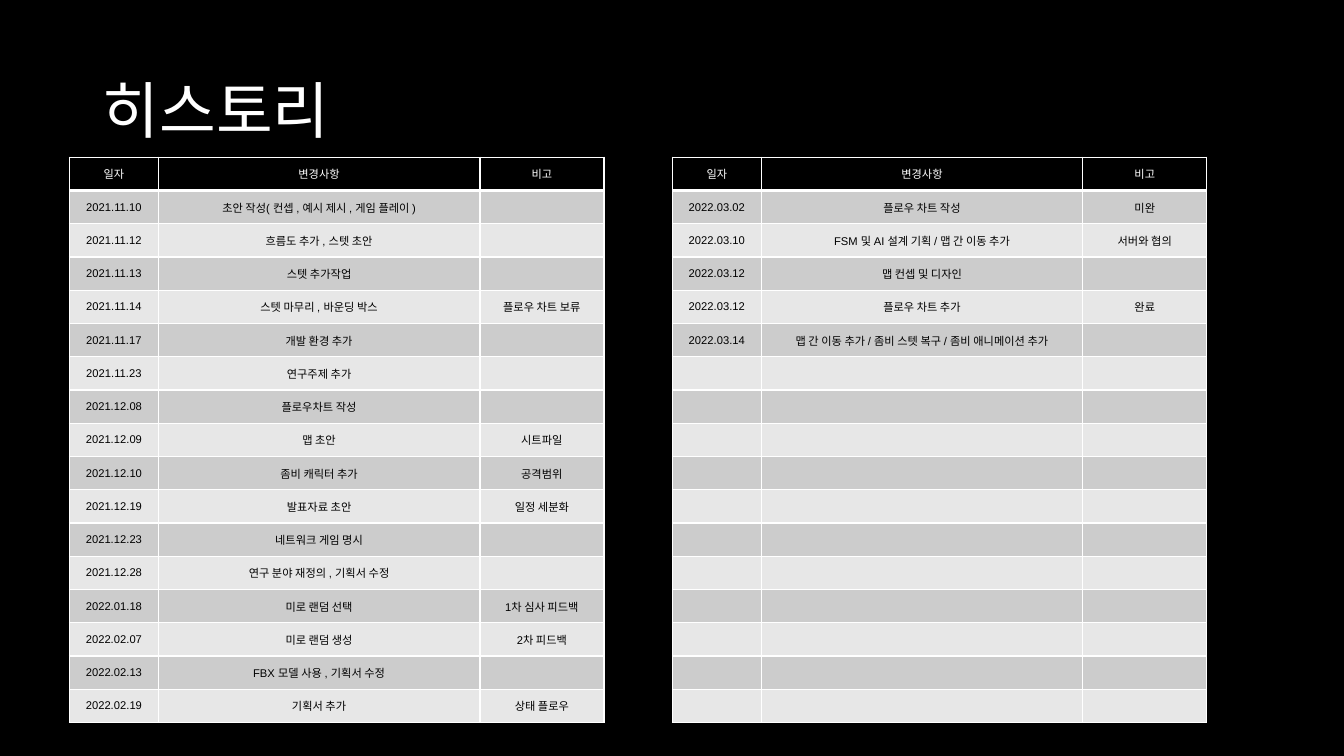
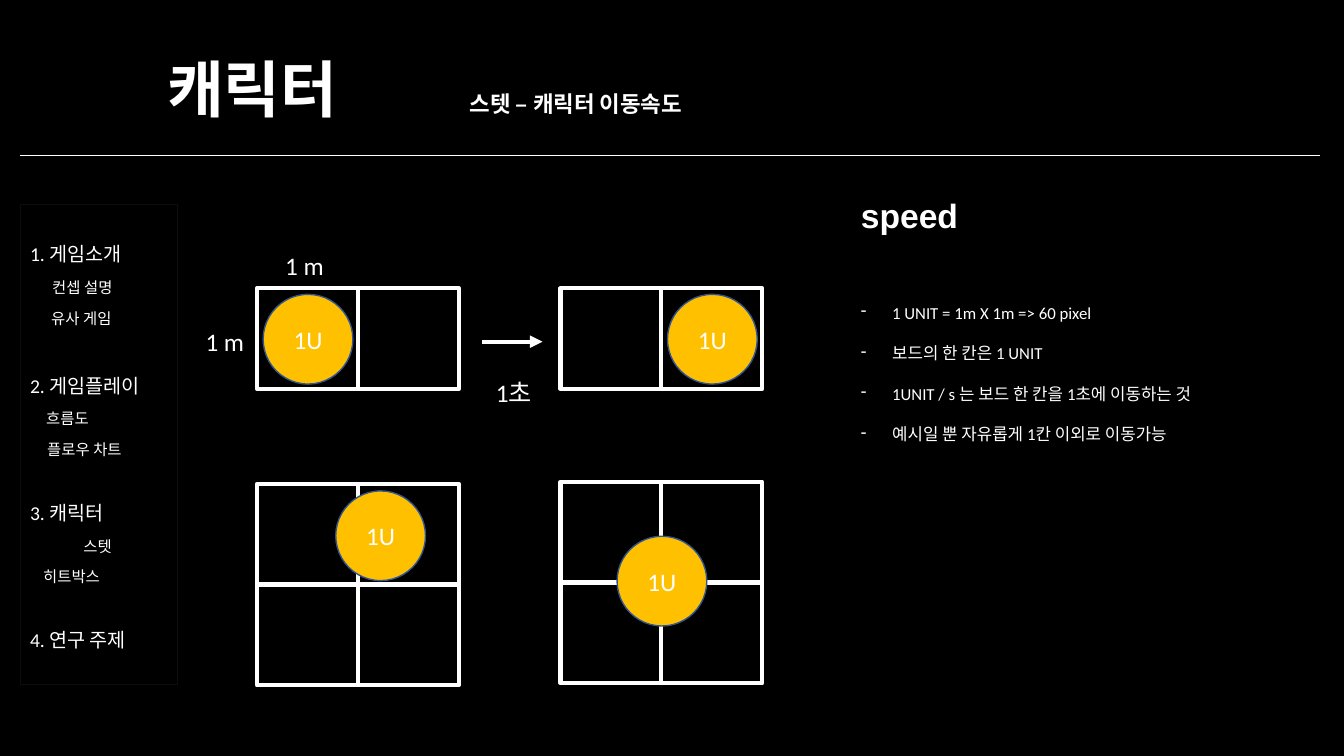
from lxml.etree import SubElement
from pptx import Presentation
from pptx.dml.color import RGBColor
from pptx.enum.shapes import MSO_CONNECTOR, MSO_SHAPE
from pptx.enum.text import MSO_ANCHOR, PP_ALIGN
from pptx.oxml.ns import qn
from pptx.util import Inches, Pt

BLACK = RGBColor(0x00, 0x00, 0x00)
WHITE = RGBColor(0xFF, 0xFF, 0xFF)
DARK = RGBColor(0xCC, 0xCC, 0xCC)
LIGHT = RGBColor(0xE7, 0xE7, 0xE7)
EDGE = RGBColor(0x0D, 0x0D, 0x0D)
GOLD = RGBColor(0xFF, 0xC0, 0x00)
NAVY = RGBColor(0x32, 0x54, 0x91)
BODY, HEAD = "Calibri", "Arial"

COLS = [0.88, 3.19, 1.23]
ROW, COUNT = 0.33, 17
CELL, BALL = 1, 0.89

LABELS = ("일자", "변경사항", "비고")
EARLY = [
    ("2021.11.10", "초안 작성( 컨셉 , 예시 제시 , 게임 플레이 )"),
    ("2021.11.12", "흐름도 추가 , 스텟 초안"),
    ("2021.11.13", "스텟 추가작업"),
    ("2021.11.14", "스텟 마무리 , 바운딩 박스", "플로우 차트 보류"),
    ("2021.11.17", "개발 환경 추가"),
    ("2021.11.23", "연구주제 추가"),
    ("2021.12.08", "플로우차트 작성"),
    ("2021.12.09", "맵 초안", "시트파일"),
    ("2021.12.10", "좀비 캐릭터 추가", "공격범위"),
    ("2021.12.19", "발표자료 초안", "일정 세분화"),
    ("2021.12.23", "네트워크 게임 명시"),
    ("2021.12.28", "연구 분야 재정의 , 기획서 수정"),
    ("2022.01.18", "미로 랜덤 선택", "1차 심사 피드백"),
    ("2022.02.07", "미로 랜덤 생성", "2차 피드백"),
    ("2022.02.13", "FBX 모델 사용 , 기획서 수정"),
    ("2022.02.19", "기획서 추가", "상태 플로우"),
]
LATE = [
    ("2022.03.02", "플로우 차트 작성", "미완"),
    ("2022.03.10", "FSM 및 AI 설계 기획 / 맵 간 이동 추가", "서버와 협의"),
    ("2022.03.12", "맵 컨셉 및 디자인"),
    ("2022.03.12", "플로우 차트 추가", "완료"),
    ("2022.03.14", "맵 간 이동 추가 / 좀비 스텟 복구 / 좀비 애니메이션 추가"),
]
# text, size, left indent in inches, space before in points
MENU = [
    ("1. 게임소개", 14, 0, 0),
    ("컨셉 설명", 11, 0.22, 10),
    ("유사 게임", 11, 0.21, 10),
    ("2. 게임플레이", 14, 0, 35),
    ("흐름도", 11, 0.16, 10),
    ("플로우 차트", 11, 0.17, 10),
    ("3. 캐릭터", 14, 0, 32),
    ("스텟", 11, 0.53, 10),
    ("히트박스", 11, 0.13, 10),
    ("4. 연구 주제", 14, 0, 32),
]
RULES = [
    "1 UNIT = 1m X 1m => 60 pixel",
    "보드의 한 칸은 1 UNIT",
    "1UNIT / s 는 보드 한 칸을 1초에 이동하는 것",
    "예시일 뿐 자유롭게 1칸 이외로 이동가능",
]
# left, top, rows, ball offset from the board's corner
BOARDS = [
    (2.55, 2.86, 1, 0.06, 0.06),
    (5.56, 2.86, 1, 1.06, 0.06),
    (2.55, 4.8, 2, 0.78, 0.07),
    (5.56, 4.78, 2, 0.56, 0.54),
]


def write(para, text, size, font=BODY, color=WHITE, bold=False):
    """Add one styled run to a paragraph."""
    run = para.add_run()
    run.text = text
    run.font.size, run.font.name, run.font.bold = Pt(size), font, bold
    run.font.color.rgb = color


def frame(slide, *box):
    """Add a wrapping text box and return its text frame."""
    text = slide.shapes.add_textbox(*map(Inches, box)).text_frame
    text.word_wrap = True
    return text


def shape(slide, kind, box, line, width, fill=None):
    item = slide.shapes.add_shape(kind, *map(Inches, box))
    item.shadow.inherit = False
    if fill is None:
        item.fill.background()
    else:
        item.fill.solid()
        item.fill.fore_color.rgb = fill
    item.line.color.rgb = line
    item.line.width = Pt(width)
    return item


def rule(slide, left, right, top, width, arrow=False):
    """Draw a level white line, with an arrowhead at its right end if asked."""
    line = slide.shapes.add_connector(
        MSO_CONNECTOR.STRAIGHT, *map(Inches, (left, top, right, top)))
    line.line.color.rgb = WHITE
    line.line.width = Pt(width)
    if arrow:
        SubElement(line.line._get_or_add_ln(), qn("a:tailEnd"), type="triangle")
    SubElement(line._element.spPr, qn("a:effectLst"))


def title(slide, box, text, bold=False, note=None):
    body = frame(slide, *box)
    body.vertical_anchor = MSO_ANCHOR.MIDDLE
    para = body.paragraphs[0]
    para.line_spacing = 0.9
    write(para, text, 44, bold=bold)
    if note:
        tabs = SubElement(para._p.get_or_add_pPr(), qn("a:tabLst"))
        SubElement(tabs, qn("a:tab"), pos=str(Inches(3)), algn="l")
        write(para, "\t" + note, 16, bold=bold)


def border(cell, low):
    """Give a cell white edges; low is the width of the bottom one."""
    props = cell._tc.get_or_add_tcPr()
    widths = {"a:lnL": 1, "a:lnR": 1, "a:lnT": 1, "a:lnB": low}
    for spot, (tag, width) in enumerate(widths.items()):
        line = SubElement(props, qn(tag), w=str(Pt(width)))
        fill = SubElement(line, qn("a:solidFill"))
        SubElement(fill, qn("a:srgbClr"), val=str(WHITE))
        props.insert(spot, line)


def log(slide, left, top, rows):
    """Place a change log, with blank rows below its entries."""
    size = (sum(COLS), ROW * COUNT)
    table = slide.shapes.add_table(
        COUNT, len(COLS), *map(Inches, (left, top, *size))).table
    table.first_row = table.horz_banding = False
    for col, width in zip(table.columns, COLS):
        col.width = Inches(width)
    lines = [LABELS, *rows]
    for i in range(COUNT):
        table.rows[i].height = Inches(ROW)
        texts = lines[i] if i < len(lines) else ()
        for j in range(len(COLS)):
            cell = table.cell(i, j)
            cell.margin_top = cell.margin_bottom = 0
            cell.vertical_anchor = MSO_ANCHOR.MIDDLE
            cell.fill.solid()
            cell.fill.fore_color.rgb = (DARK if i % 2 else LIGHT) if i else BLACK
            border(cell, 1 if i else 3)
            if j < len(texts):
                para = cell.text_frame.paragraphs[0]
                para.alignment = PP_ALIGN.CENTER
                write(para, texts[j], 8, HEAD, BLACK if i else WHITE)


def menu(slide, *box):
    text = shape(slide, MSO_SHAPE.RECTANGLE, box, EDGE, 0.75).text_frame
    text.word_wrap = True
    text.vertical_anchor = MSO_ANCHOR.TOP
    text.margin_top = Inches(0.4)
    for i, (label, size, indent, space) in enumerate(MENU):
        para = text.add_paragraph() if i else text.paragraphs[0]
        para.alignment = PP_ALIGN.LEFT
        para.line_spacing = 0.9
        if space:
            para.space_before = Pt(space)
        para._p.get_or_add_pPr().set("marL", str(Inches(indent)))
        write(para, label, size)


def board(slide, left, top, rows, dx, dy):
    """Draw a board two cells wide with a one-unit ball on it."""
    for i in range(rows):
        for j in range(2):
            box = (left + j * CELL, top + i * CELL, CELL, CELL)
            shape(slide, MSO_SHAPE.RECTANGLE, box, WHITE, 3)
    ball = shape(slide, MSO_SHAPE.OVAL, (left + dx, top + dy, BALL, BALL),
                 NAVY, 1, GOLD)
    ball.text_frame.vertical_anchor = MSO_ANCHOR.MIDDLE
    para = ball.text_frame.paragraphs[0]
    para.alignment = PP_ALIGN.CENTER
    write(para, "1U", 18)


def label(slide, left, top, text):
    write(frame(slide, left, top, 0.64, 0.4).paragraphs[0], text, 18)


def speed(slide, left, top, width):
    """Place the speed heading and its dashed list."""
    head = frame(slide, left, top, width, 0.5)
    write(head.paragraphs[0], "speed", 24, HEAD, bold=True)
    text = frame(slide, left, top + 0.87, width, 2.93)
    text.margin_top = Inches(0.25)
    for i, line in enumerate(RULES):
        para = text.add_paragraph() if i else text.paragraphs[0]
        if i:
            para.space_before = Pt(14.6)
        props = para._p.get_or_add_pPr()
        props.set("marL", str(Inches(0.31)))
        props.set("indent", str(Inches(-0.31)))
        SubElement(props, qn("a:buChar"), char="-")
        write(para, line, 12)


def blank(deck):
    slide = deck.slides.add_slide(deck.slide_layouts[6])
    slide.background.fill.solid()
    slide.background.fill.fore_color.rgb = BLACK
    return slide


def past(deck):
    slide = blank(deck)
    title(slide, (0.92, 0.4, 11.5, 1.45), "히스토리")
    log(slide, 0.69, 1.56, EARLY)
    log(slide, 6.67, 1.56, LATE)


def hero(deck):
    slide = blank(deck)
    menu(slide, 0.2, 2.03, 1.56, 4.76)
    title(slide, (1.56, 0.19, 10.22, 1.45), "캐릭터", True,
          "스텟 – 캐릭터 이동속도")
    rule(slide, 0.2, 13.09, 1.54, 0.5)
    speed(slide, 8.44, 1.88, 4.11)
    for item in BOARDS:
        board(slide, *item)
    rule(slide, 4.78, 5.38, 3.39, 3, True)
    label(slide, 4.82, 3.69, "1초")
    label(slide, 2.73, 2.43, "1 m")
    label(slide, 1.94, 3.19, "1 m")


def main():
    deck = Presentation()
    deck.slide_width, deck.slide_height = Inches(13.33), Inches(7.5)
    past(deck)
    hero(deck)
    deck.save("out.pptx")


if __name__ == "__main__":
    main()
